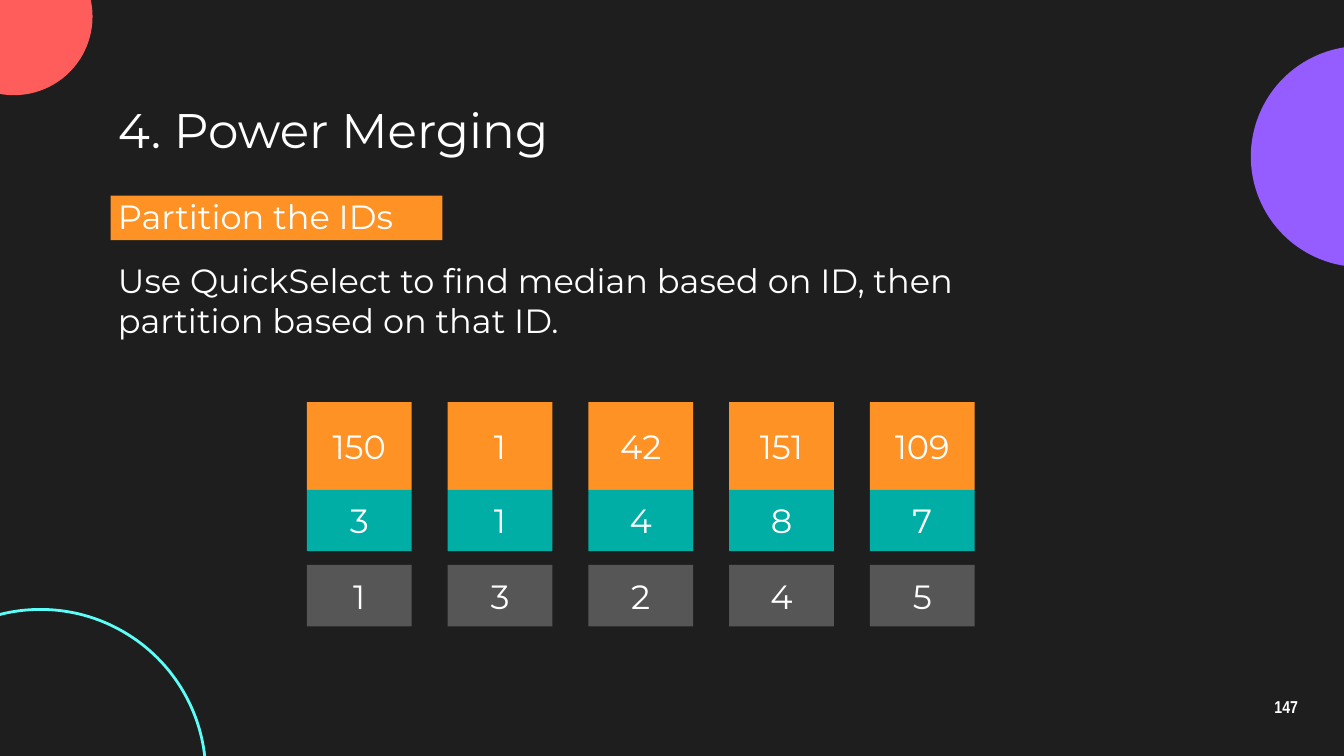
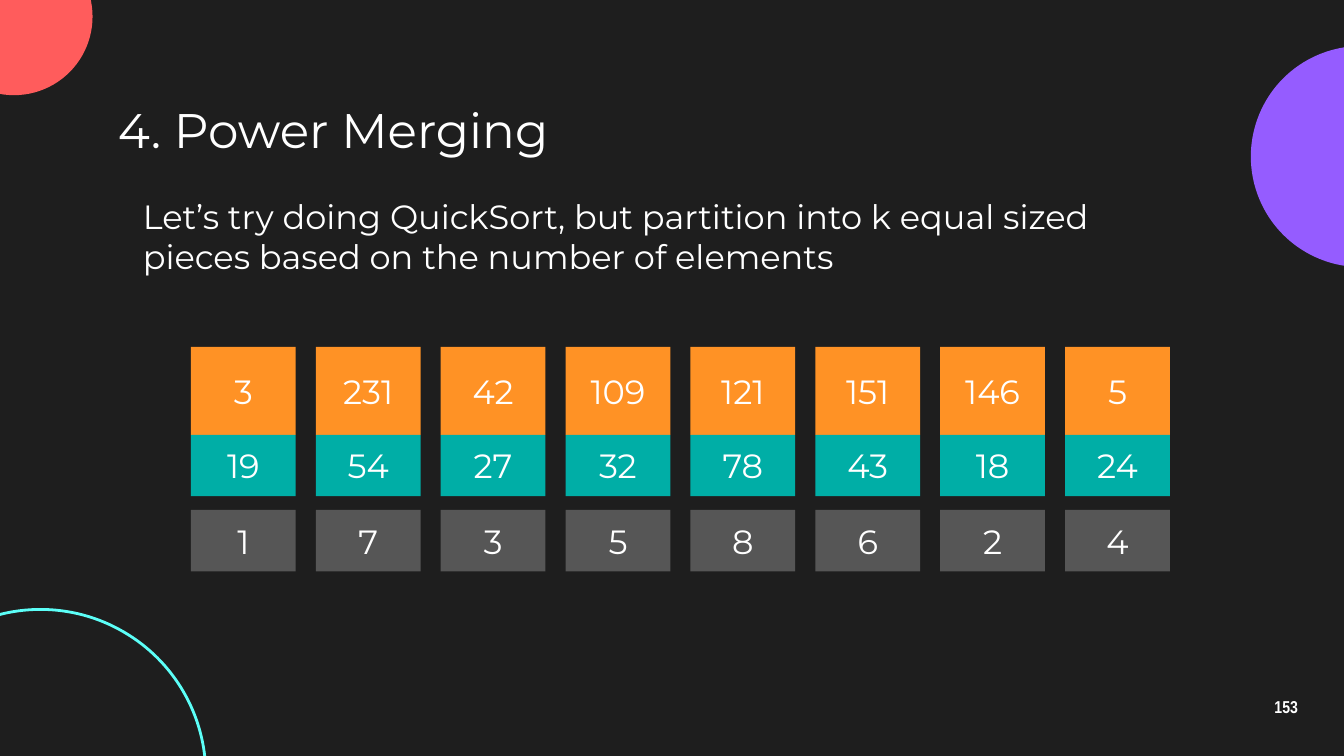
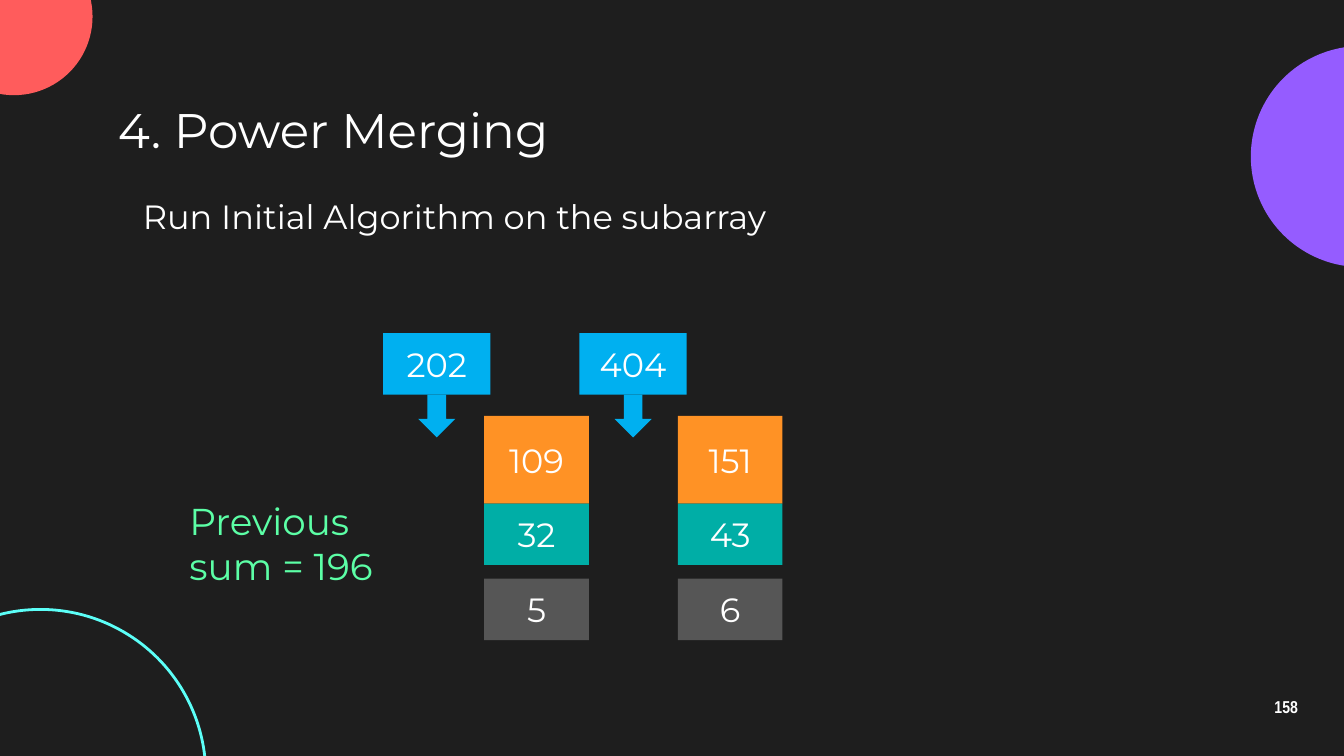
from dataclasses import dataclass

from pptx import Presentation
from pptx.dml.color import RGBColor
from pptx.enum.shapes import MSO_SHAPE
from pptx.enum.text import MSO_ANCHOR, PP_ALIGN
from pptx.shapes.autoshape import Shape
from pptx.slide import Slide
from pptx.util import Cm, Pt

BACKGROUND, WHITE = "1E1E1E", "FFFFFF"
PURPLE, CORAL, CYAN, MINT = "955CFF", "FF5C5C", "5CFFF8", "5CFFA6"
ORANGE, TEAL, GRAY, BLUE = "FF9225", "00AEA6", "565656", "00B0F0"
BODY_FONT, NUMBER_FONT = "Montserrat", "Arial Narrow"
BODY_TOP, BODY_HEIGHT, INSET = 3.45, 1.3, 0.25
CELL_WIDTH, ID_HEIGHT, VALUE_HEIGHT, RANK_GAP = 1.98, 1.66, 1.16, 0.26
SUM_WIDTH, ARROW_WIDTH, ARROW_HEIGHT = 2.03, 0.7, 0.81


@dataclass(frozen=True)
class Box:
    """Position and size in centimetres."""

    left: float
    top: float
    width: float
    height: float

    def emu(self) -> tuple[Cm, Cm, Cm, Cm]:
        """Return the four lengths for python-pptx."""
        return Cm(self.left), Cm(self.top), Cm(self.width), Cm(self.height)


@dataclass(frozen=True)
class Circle:
    """A decorative circle, filled or outlined."""

    left: float
    top: float
    size: float
    color: str
    filled: bool = True


@dataclass(frozen=True)
class Item:
    """One column: its ID, its value and its rank by ID."""

    id: int
    value: int
    rank: int


@dataclass(frozen=True)
class Row:
    """A row of items placed at an equal step."""

    left: float
    top: float
    step: float
    items: list[Item]


CIRCLES = [
    Circle(23.64, 0.87, 4.18, PURPLE),
    Circle(-1.22, -1.17, 2.97, CORAL),
    Circle(-2.36, 11.52, 6.25, CYAN, filled=False),
]
PARTITION_ROW = Row(5.8, 7.6, 2.66, [
    Item(150, 3, 1), Item(1, 1, 3), Item(42, 4, 2), Item(151, 8, 4), Item(109, 7, 5),
])
QUICKSORT_ROW = Row(3.61, 6.56, 2.36, [
    Item(3, 19, 1), Item(231, 54, 7), Item(42, 27, 3), Item(109, 32, 5),
    Item(121, 78, 8), Item(151, 43, 6), Item(146, 18, 2), Item(5, 24, 4),
])
SUBARRAY_ROW = Row(9.15, 7.86, 3.66, [Item(109, 32, 5), Item(151, 43, 6)])


def rgb(color: str) -> RGBColor:
    """Turn a hex string into a colour."""
    return RGBColor.from_string(color)


def add_text(s: Slide, box: Box, paragraphs: list[str], size: float = 18, color: str = WHITE,
             font: str = BODY_FONT, anchor: MSO_ANCHOR = MSO_ANCHOR.TOP, gap: float = 0) -> Shape:
    """Add a wrapping text box with a gap between its paragraphs."""
    sp = s.shapes.add_textbox(*box.emu())
    tf = sp.text_frame
    tf.word_wrap = True
    tf.vertical_anchor = anchor
    tf.margin_left = tf.margin_right = tf.margin_top = tf.margin_bottom = Cm(INSET)
    for i, text in enumerate(paragraphs):
        p = tf.add_paragraph() if i else tf.paragraphs[0]
        p.text = text
        if i:
            p.space_before = Pt(gap)
        p.font.name, p.font.size, p.font.color.rgb = font, Pt(size), rgb(color)
    return sp


def add_filled(s: Slide, kind: MSO_SHAPE, box: Box, color: str, text: str = "") -> Shape:
    """Add a flat shape without outline and with optional centred text."""
    sp = s.shapes.add_shape(kind, *box.emu())
    sp.shadow.inherit = False
    sp.fill.solid()
    sp.fill.fore_color.rgb = rgb(color)
    sp.line.fill.background()
    if text:
        tf = sp.text_frame
        tf.vertical_anchor = MSO_ANCHOR.MIDDLE
        p = tf.paragraphs[0]
        p.text = text
        p.alignment = PP_ALIGN.CENTER
        p.font.name, p.font.size, p.font.color.rgb = BODY_FONT, Pt(18), rgb(WHITE)
    return sp


def add_circle(s: Slide, circle: Circle) -> None:
    """Add one decorative circle."""
    box = Box(circle.left, circle.top, circle.size, circle.size)
    sp = add_filled(s, MSO_SHAPE.OVAL, box, circle.color)
    if not circle.filled:
        sp.fill.background()
        sp.line.color.rgb = rgb(circle.color)
        sp.line.width = Pt(1.5)


def add_row(s: Slide, row: Row) -> None:
    """Add a column of ID, value and rank for each item."""
    value_top = row.top + ID_HEIGHT
    rank_top = value_top + VALUE_HEIGHT + RANK_GAP
    for i, item in enumerate(row.items):
        for number, top, height, color in (
            (item.id, row.top, ID_HEIGHT, ORANGE),
            (item.value, value_top, VALUE_HEIGHT, TEAL),
            (item.rank, rank_top, VALUE_HEIGHT, GRAY),
        ):
            box = Box(row.left + i * row.step, top, CELL_WIDTH, height)
            add_filled(s, MSO_SHAPE.RECTANGLE, box, color, str(number))


def add_sum(s: Slide, left: float, top: float, total: int) -> None:
    """Add a running sum with an arrow centred below it."""
    box = Box(left, top, SUM_WIDTH, VALUE_HEIGHT)
    add_filled(s, MSO_SHAPE.RECTANGLE, box, BLUE, str(total))
    arrow_left = left + (SUM_WIDTH - ARROW_WIDTH) / 2
    arrow = Box(arrow_left, top + VALUE_HEIGHT, ARROW_WIDTH, ARROW_HEIGHT)
    add_filled(s, MSO_SHAPE.DOWN_ARROW, arrow, BLUE)


def add_slide(prs: Presentation, number: int) -> Slide:
    """Add a slide with the circles, title and slide number."""
    s = prs.slides.add_slide(prs.slide_layouts[6])
    for circle in CIRCLES:
        add_circle(s, circle)
    add_text(s, Box(1.98, 1.8, 21.44, 1.3), ["4. Power Merging"], 26, anchor=MSO_ANCHOR.MIDDLE)
    sp = add_text(s, Box(23.55, 12.95, 1.52, 0.86), [str(number)], 9.2, font=NUMBER_FONT,
                  anchor=MSO_ANCHOR.MIDDLE)
    p = sp.text_frame.paragraphs[0]
    p.alignment, p.line_spacing, p.font.bold = PP_ALIGN.CENTER, 0.9, True
    return s


def add_partition_slide(prs: Presentation) -> None:
    """Add the slide on partitioning by the median ID."""
    s = add_slide(prs, 147)
    add_filled(s, MSO_SHAPE.RECTANGLE, Box(2.09, 3.7, 6.27, 0.84), ORANGE)
    add_text(s, Box(1.98, BODY_TOP, 17.68, BODY_HEIGHT), [
        "Partition the IDs",
        "Use QuickSelect to find median based on ID, then partition based on that ID.",
    ], gap=12.8)
    add_row(s, PARTITION_ROW)


def add_quicksort_slide(prs: Presentation) -> None:
    """Add the slide on partitioning into k pieces."""
    s = add_slide(prs, 153)
    add_text(s, Box(2.45, BODY_TOP, 18.64, BODY_HEIGHT), [
        "Let’s try doing QuickSort, but partition into k equal sized pieces "
        "based on the number of elements",
    ])
    add_row(s, QUICKSORT_ROW)


def add_subarray_slide(prs: Presentation) -> None:
    """Add the slide on the subarray and its running sums."""
    s = add_slide(prs, 158)
    add_text(s, Box(2.45, BODY_TOP, 18.64, BODY_HEIGHT), ["Run Initial Algorithm on the subarray"])
    add_row(s, SUBARRAY_ROW)
    for i, total in enumerate((202, 404)):
        add_sum(s, 7.24 + i * 3.71, 6.3, total)
    add_text(s, Box(3.33, 9.17, 4.14, BODY_HEIGHT), ["Previous sum = 196"], 20, MINT)


def main() -> None:
    """Build and save the three slides."""
    prs = Presentation()
    prs.slide_width, prs.slide_height = Cm(25.4), Cm(14.29)
    fill = prs.slide_master.background.fill
    fill.solid()
    fill.fore_color.rgb = rgb(BACKGROUND)
    add_partition_slide(prs)
    add_quicksort_slide(prs)
    add_subarray_slide(prs)
    prs.save("out.pptx")


if __name__ == "__main__":
    main()
